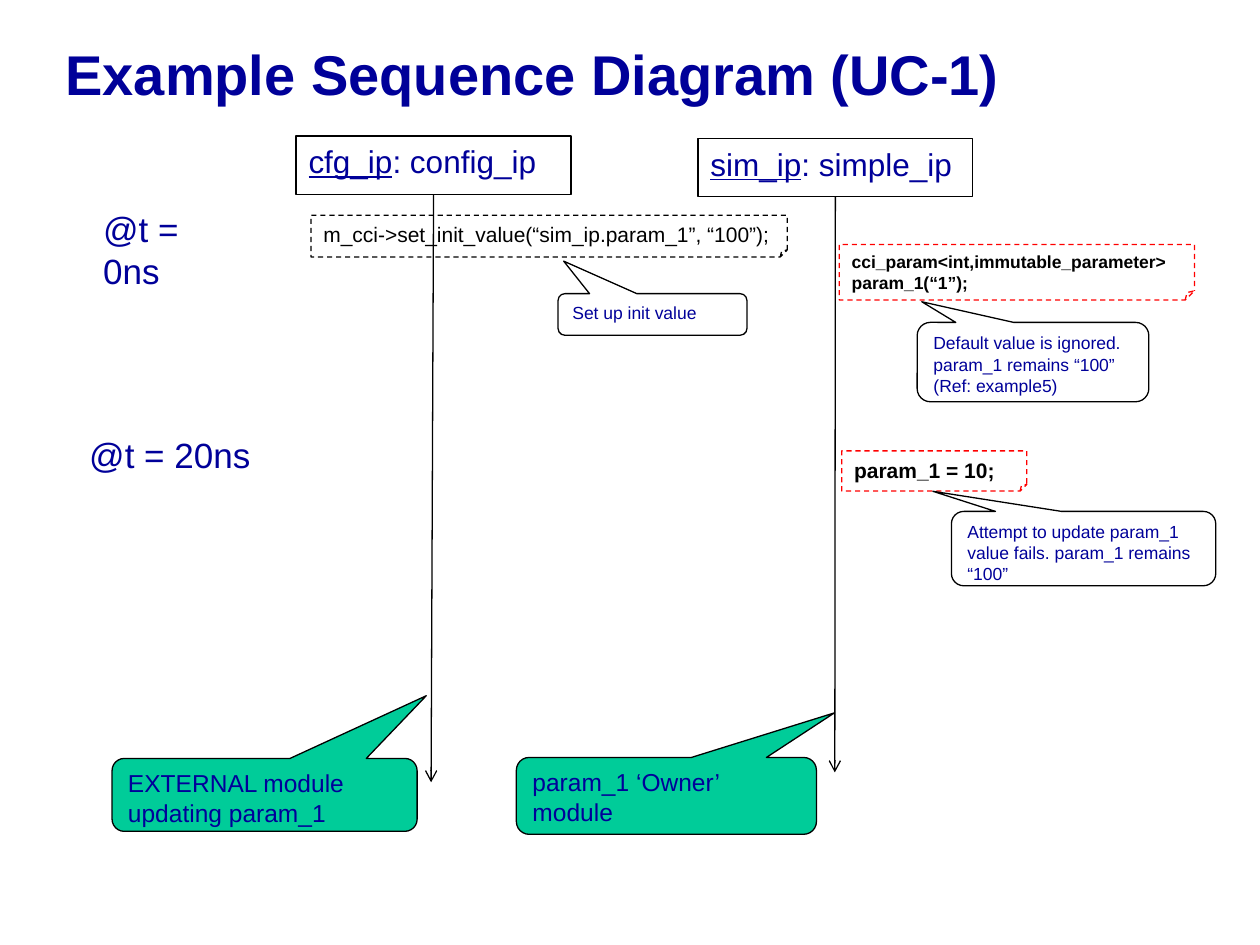
from lxml import etree
from pptx import Presentation
from pptx.dml.color import RGBColor
from pptx.enum.dml import MSO_LINE
from pptx.enum.shapes import MSO_CONNECTOR, MSO_SHAPE as SHAPE
from pptx.enum.text import MSO_ANCHOR as ANCHOR, PP_ALIGN as ALIGN
from pptx.oxml.ns import qn
from pptx.util import Cm, Pt

NAVY, BLACK, RED, GREEN = "000099", "000000", "FF0000", "00CC99"


def color(hex_string):
    return RGBColor.from_string(hex_string)


def set_line(line, line_color):
    line.color.rgb = color(line_color)
    line.width = Pt(0.75)


def write(shape, text, size, text_color=NAVY, bold=False, anchor=ANCHOR.TOP, wrap=True):
    frame = shape.text_frame
    frame.text = text
    frame.word_wrap = wrap
    frame.vertical_anchor = anchor
    for paragraph in frame.paragraphs:
        paragraph.alignment = ALIGN.LEFT
        for run in paragraph.runs:
            run.font.name = "Arial"
            run.font.size = Pt(size)
            run.font.bold = bold
            run.font.color.rgb = color(text_color)


def add_text(slide, box, text, size, **style):
    shape = slide.shapes.add_textbox(*map(Cm, box))
    write(shape, text, size, **style)
    return shape


def add_box(slide, kind, box, line_color=BLACK, fill=None):
    shape = slide.shapes.add_shape(kind, *map(Cm, box))
    shape.shadow.inherit = False
    if fill:
        shape.fill.solid()
        shape.fill.fore_color.rgb = color(fill)
    else:
        shape.fill.background()
    set_line(shape.line, line_color)
    return shape


def add_participant(slide, box, instance, module):
    shape = add_box(slide, SHAPE.RECTANGLE, box)
    write(shape, instance, 18)
    paragraph = shape.text_frame.paragraphs[0]
    paragraph.runs[0].font.underline = True
    run = paragraph.add_run()
    run.text = f": {module}"
    run.font.name = "Arial"
    run.font.size = Pt(18)
    run.font.color.rgb = color(NAVY)
    return shape


def add_lifeline(slide, participant, end_x, end_y):
    line = slide.shapes.add_connector(
        MSO_CONNECTOR.STRAIGHT, 0, 0, Cm(end_x), Cm(end_y))
    line.begin_connect(participant, 2)
    set_line(line.line, BLACK)
    etree.SubElement(line.line._get_or_add_ln(), qn("a:tailEnd"), type="arrow")
    etree.SubElement(line._element.spPr, qn("a:effectLst"))


def add_code_note(slide, box, text, size, line_color=RED, bold=True):
    shape = add_box(slide, SHAPE.FOLDED_CORNER, box, line_color)
    shape.line.dash_style = MSO_LINE.DASH
    write(shape, text, size, BLACK, bold)


def add_callout(slide, box, tip, text, size=10, fill=None):
    shape = add_box(slide, SHAPE.ROUNDED_RECTANGULAR_CALLOUT, box, fill=fill)
    shape.adjustments[0], shape.adjustments[1] = tip
    write(shape, text, size)


def main():
    presentation = Presentation()
    presentation.slide_width, presentation.slide_height = Cm(25.4), Cm(19.05)
    slide = presentation.slides.add_slide(presentation.slide_layouts[6])

    # Title
    title = add_text(slide, (1.07, 0, 24.13, 3.18), "Example Sequence Diagram (UC-1)",
                     32, bold=True, anchor=ANCHOR.MIDDLE)
    title.text_frame.paragraphs[0].line_spacing = 0.85

    # Participants and their lifelines
    simple_ip = add_participant(slide, (14.07, 2.79, 5.54, 1.17), "sim_ip", "simple_ip")
    config_ip = add_participant(slide, (5.97, 2.74, 5.54, 1.19), "cfg_ip", "config_ip")
    add_lifeline(slide, simple_ip, 16.83, 15.57)
    add_lifeline(slide, config_ip, 8.69, 15.77)

    # Time marks
    add_text(slide, (1.83, 4.06, 3.35, 1.12), "@t = 0ns", 20, wrap=False)
    add_text(slide, (1.55, 8.61, 3.76, 1.12), "@t = 20ns", 20, wrap=False)

    # Code notes
    add_code_note(slide, (16.92, 4.93, 7.16, 1.12),
                  "cci_param<int,immutable_parameter>\nparam_1(“1”);", 10)
    add_code_note(slide, (16.97, 9.09, 3.73, 0.81), "param_1 = 10;", 12)
    add_code_note(slide, (6.27, 4.34, 9.6, 0.84),
                  "m_cci->set_init_value(“sim_ip.param_1”, “100”);", 12, BLACK, False)

    # Module roles
    add_callout(slide, (10.41, 15.27, 6.05, 1.55), (0.56, -1.08),
                "param_1 ‘Owner’ module", 14, GREEN)
    add_callout(slide, (2.26, 15.29, 6.15, 1.47), (0.53, -1.36),
                "EXTERNAL module updating param_1", 14, GREEN)

    # Explanations of the code
    add_callout(slide, (18.49, 6.5, 4.67, 1.6), (-0.48, -0.76),
                "Default value is ignored. param_1 remains “100” (Ref: example5)")
    add_callout(slide, (11.25, 5.92, 3.81, 0.84), (-0.47, -1.28), "Set up init value")
    add_callout(slide, (19.18, 10.31, 5.33, 1.5), (-0.57, -0.77),
                "Attempt to update param_1 value fails. param_1 remains “100”")

    presentation.save("out.pptx")


if __name__ == "__main__":
    main()
